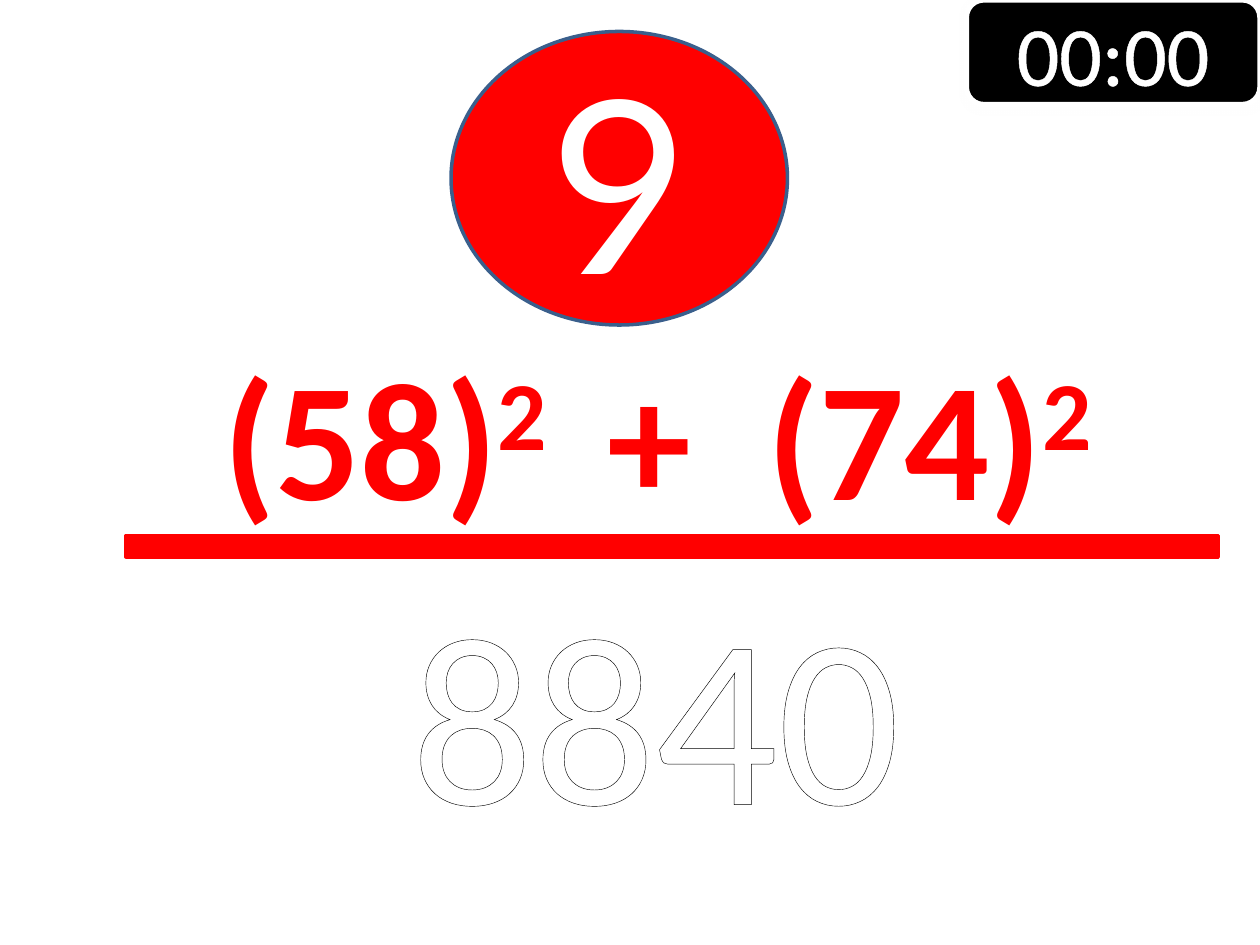
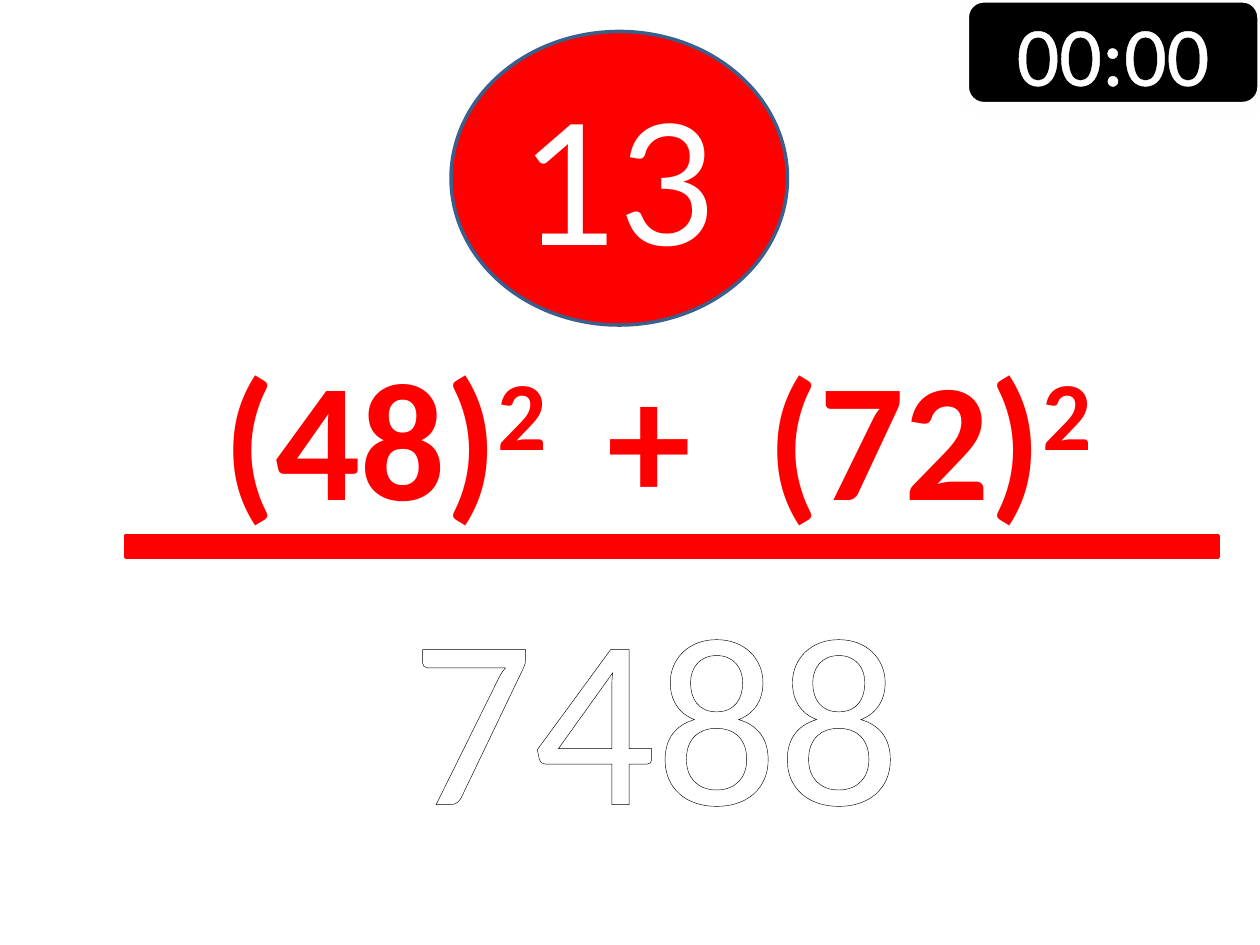
from lxml import etree
from pptx import Presentation
from pptx.dml.color import RGBColor
from pptx.enum.shapes import MSO_SHAPE
from pptx.enum.text import MSO_ANCHOR, MSO_AUTO_SIZE, PP_ALIGN
from pptx.oxml.ns import qn
from pptx.util import Inches, Pt

OVAL, ROUNDED, RECT = MSO_SHAPE.OVAL, MSO_SHAPE.ROUNDED_RECTANGLE, MSO_SHAPE.RECTANGLE
MIDDLE, TOP = MSO_ANCHOR.MIDDLE, MSO_ANCHOR.TOP
CENTER, JUSTIFY = PP_ALIGN.CENTER, PP_ALIGN.JUSTIFY
GROW = MSO_AUTO_SIZE.SHAPE_TO_FIT_TEXT
TITLE_ONLY = 5

RED, WHITE, BLACK, BLUE = "FF0000", "FFFFFF", "000000", "3A5F8C"
BADGE = (3.58, 0.25, 2.67, 2.33)
TIMER = (7.67, 0, 2.33, 0.83)
FORMULA = (1.67, 2.58, 7.31, 1.72)
BAR = (1, 4.25, 8.67, 0.17)
ANSWER = (3.08, 4.42, 4.25, 2.42)


def rgb(value):
    return RGBColor.from_string(value)


def inches(box):
    return [Inches(v) for v in box]


def add_fill(parent, color):
    fill = etree.SubElement(parent, qn("a:solidFill"))
    return etree.SubElement(fill, qn("a:srgbClr"), val=color)


def add_run(p, text, size, color, font="Calibri", bold=False, outline=None, raised=False):
    r = p.add_run()
    r.text = text
    r.font.size, r.font.name, r.font.bold = Pt(size), font, bold
    r.font.color.rgb = rgb(color)
    rPr = r.font._element
    if raised:
        rPr.set("baseline", "30000")
    if outline:
        ln = etree.Element(qn("a:ln"), w=str(Pt(1.45)))
        add_fill(ln, outline)
        rPr.insert(0, ln)


def first_paragraph(sp, align, anchor=MIDDLE, wrap=True):
    tf = sp.text_frame
    tf.word_wrap, tf.vertical_anchor = wrap, anchor
    p = tf.paragraphs[0]
    p.alignment = align
    return p


def add_block(s, kind, box, fill, line, width):
    sp = s.shapes.add_shape(kind, *inches(box))
    sp.shadow.inherit = False
    sp.fill.solid()
    sp.fill.fore_color.rgb = rgb(fill)
    sp.line.color.rgb = rgb(line)
    sp.line.width = Pt(width)
    return sp


def add_badge(s, box, number, size):
    sp = add_block(s, OVAL, box, RED, BLUE, 2)
    add_run(first_paragraph(sp, CENTER), number, size, WHITE, "Lato")


def add_timer(s, box):
    sp = add_block(s, ROUNDED, box, BLACK, WHITE, 3)
    effects = sp._element.spPr.find(qn("a:effectLst"))
    shadow = etree.SubElement(effects, qn("a:outerShdw"), blurRad=str(Pt(3.1)),
                              dist=str(Pt(1.6)), dir="5400000", rotWithShape="0")
    etree.SubElement(add_fill(shadow, BLACK), qn("a:alpha"), val="38000")
    add_run(first_paragraph(sp, CENTER), "00:00", 48, WHITE, outline=WHITE)


def add_formula(s, box, first, second):
    title = s.shapes.title
    title.left, title.top, title.width, title.height = inches(box)
    p = first_paragraph(title, JUSTIFY, wrap=False)
    title.text_frame.auto_size = GROW
    parts = [(f"({first})", False), ("2 ", True), (f" +  ({second})", False), ("2", True)]
    for text, raised in parts:
        add_run(p, text, 96, RED, bold=True, outline=RED, raised=raised)


def add_answer(s, box, value):
    sp = s.shapes.add_textbox(*inches(box))
    p = first_paragraph(sp, CENTER, TOP)
    sp.text_frame.auto_size = GROW
    add_run(p, value, 138, WHITE, outline=BLACK)


def add_question(prs, number, number_size, first, second):
    s = prs.slides.add_slide(prs.slide_layouts[TITLE_ONLY])
    s.background.fill.solid()
    s.background.fill.fore_color.rgb = rgb(WHITE)
    add_badge(s, BADGE, number, number_size)
    add_timer(s, TIMER)
    add_formula(s, FORMULA, first, second)
    add_block(s, RECT, BAR, RED, RED, 2)
    add_answer(s, ANSWER, str(first ** 2 + second ** 2))


prs = Presentation()
prs.slide_width, prs.slide_height = Inches(10), Inches(7.5)
add_question(prs, "9", 138, 58, 74)
add_question(prs, "13", 96, 48, 72)
prs.save("out.pptx")
